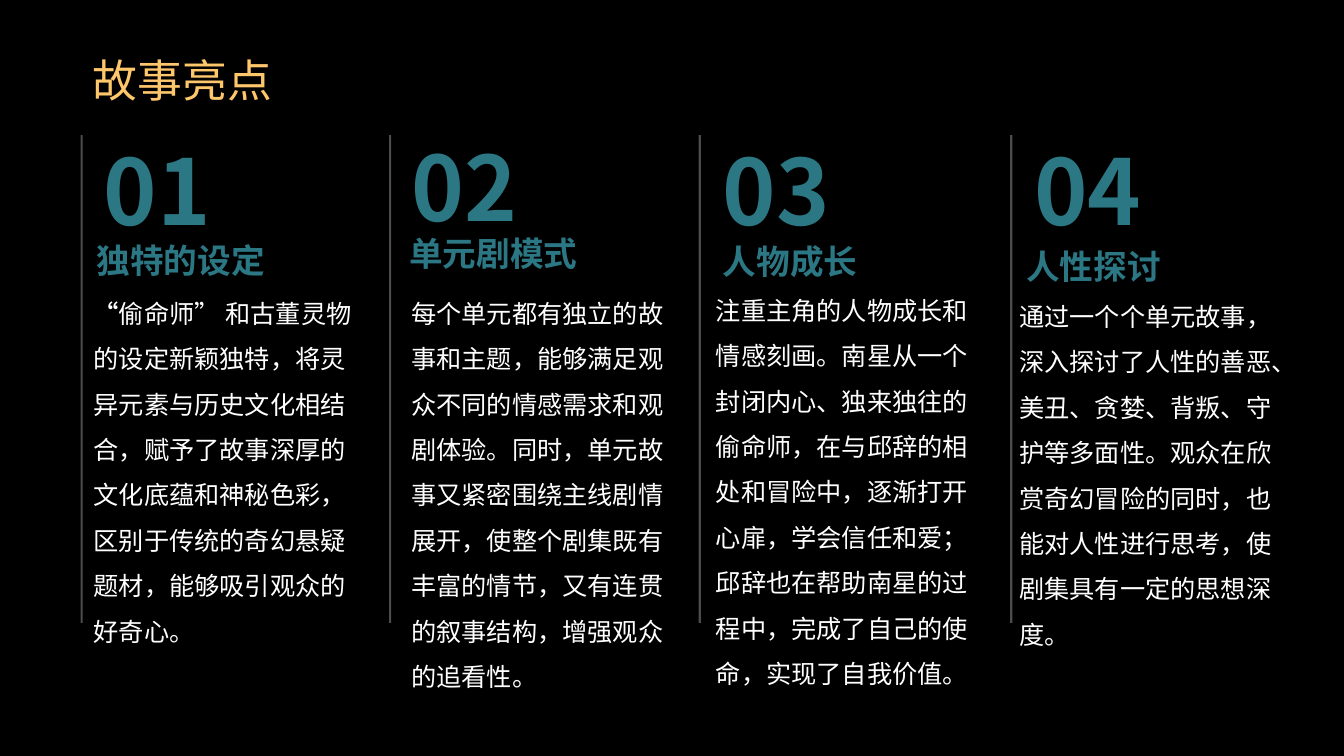
from lxml import etree
from pptx import Presentation
from pptx.dml.color import RGBColor
from pptx.enum import lang, shapes, text
from pptx.oxml.ns import qn
from pptx.util import Pt

PX = 9144  # 100 px to the inch
FONT = "Noto Sans CJK SC"
COLORS = {"background": "000000", "title": "FFC76B", "accent": "2B7784", "body": "FFFFFF"}

TITLE = ("故事亮点", (92, 32, 1150, 94))
RULE_TOP, RULE_BOTTOM = 134, 618
# Boxes are left, top, width, height; body text is a list of (text, bold) runs.
HIGHLIGHTS = [
    {"rule": 81,
     "number": ("01", 64.8, (103, 134, 128, 108)),
     "heading": ("独特的设定", (96, 243, 174, 35)),
     "body": ([("“", True),
               ("偷命师” 和古董灵物的设定新颖独特，将灵异元素与历史文化相结合，赋予了故事深厚的"
                "文化底蕴和神秘色彩，区别于传统的奇幻悬疑题材，能够吸引观众的好奇心。", False)],
              (93, 281, 266, 362))},
    {"rule": 387,
     "number": ("02", 64, (408, 137, 145, 95)),
     "heading": ("单元剧模式", (406, 242, 170, 29)),
     "body": ([("每个单元都有独立的故事和主题，能够满足观众不同的情感需求和观剧体验。同时，单元故事又"
                "紧密围绕主线剧情展开，使整个剧集既有丰富的情节，又有连贯的叙事结构，增强观众的追看性。",
                False)],
              (408, 281, 263, 404))},
    {"rule": 694,
     "number": ("03", 64.8, (717, 134, 145, 108)),
     "heading": ("人物成长", (717, 236, 169, 43)),
     "body": ([("注重主角的人物成长和情感刻画。南星从一个封闭内心、独来独往的偷命师，在与邱辞的相处和"
                "冒险中，逐渐打开心扉，学会信任和爱；邱辞也在帮助南星的过程中，完成了自己的使命，"
                "实现了自我价值。", False)],
              (710, 278, 271, 449))},
    {"rule": 1003,
     "number": ("04", 64.8, (1026, 134, 145, 108)),
     "heading": ("人性探讨", (1018, 242, 154, 42)),
     "body": ([("通过一个个单元故事，深入探讨了人性的善恶、美丑、贪婪、背叛、守护等多面性。观众在欣赏"
                "奇幻冒险的同时，也能对人性进行思考，使剧集具有一定的思想深度。", False)],
              (1011, 284, 251, 417))},
]


def rgb(name):
    return RGBColor.from_string(COLORS[name])


def add_text(slide, runs, box, size, color, bold=False, anchor="TOP", wrap=True, spacing=None):
    frame = slide.shapes.add_textbox(*(n * PX for n in box)).text_frame
    frame.margin_left = frame.margin_top = frame.margin_right = frame.margin_bottom = 0
    frame.word_wrap = wrap
    frame.vertical_anchor = text.MSO_ANCHOR[anchor]
    paragraph = frame.paragraphs[0]
    if spacing:
        paragraph.line_spacing = spacing
    for words, run_bold in runs:
        run = paragraph.add_run()
        run.text = words
        if run_bold:
            run.font.bold = True
    font = paragraph.font
    font.size, font.bold, font.name = Pt(size), bold, FONT
    font.language_id = lang.MSO_LANGUAGE_ID.SIMPLIFIED_CHINESE
    font.color.rgb = rgb(color)
    east_asian = etree.SubElement(paragraph._p.pPr.find(qn("a:defRPr")), qn("a:ea"))
    east_asian.set("typeface", FONT)


def add_rule(slide, x):
    """Draw a translucent vertical line left of a column."""
    rule = slide.shapes.add_connector(shapes.MSO_CONNECTOR.STRAIGHT,
                                      x * PX, RULE_TOP * PX, x * PX, RULE_BOTTOM * PX)
    rule.line.width = Pt(1.5)
    rule.line.color.rgb = rgb("body")
    color = rule.line._ln.find(".//" + qn("a:srgbClr"))
    etree.SubElement(color, qn("a:alpha")).set("val", "30000")
    etree.SubElement(rule._element.spPr, qn("a:effectLst"))


def main():
    deck = Presentation()
    deck.slide_width, deck.slide_height = 1333 * PX, 750 * PX
    slide = deck.slides.add_slide(deck.slide_layouts[6])
    slide.background.fill.solid()
    slide.background.fill.fore_color.rgb = rgb("background")

    title, title_box = TITLE
    add_text(slide, [(title, False)], title_box, 32, "title", anchor="MIDDLE")
    for highlight in HIGHLIGHTS:
        body, body_box = highlight["body"]
        add_text(slide, body, body_box, 18, "body", spacing=1.5)
        heading, heading_box = highlight["heading"]
        add_text(slide, [(heading, False)], heading_box, 24, "accent", bold=True, anchor="BOTTOM")
        number, size, number_box = highlight["number"]
        add_text(slide, [(number, False)], number_box, size, "accent", bold=True,
                 anchor="MIDDLE", wrap=False)
        add_rule(slide, highlight["rule"])
    deck.save("out.pptx")


if __name__ == "__main__":
    main()
